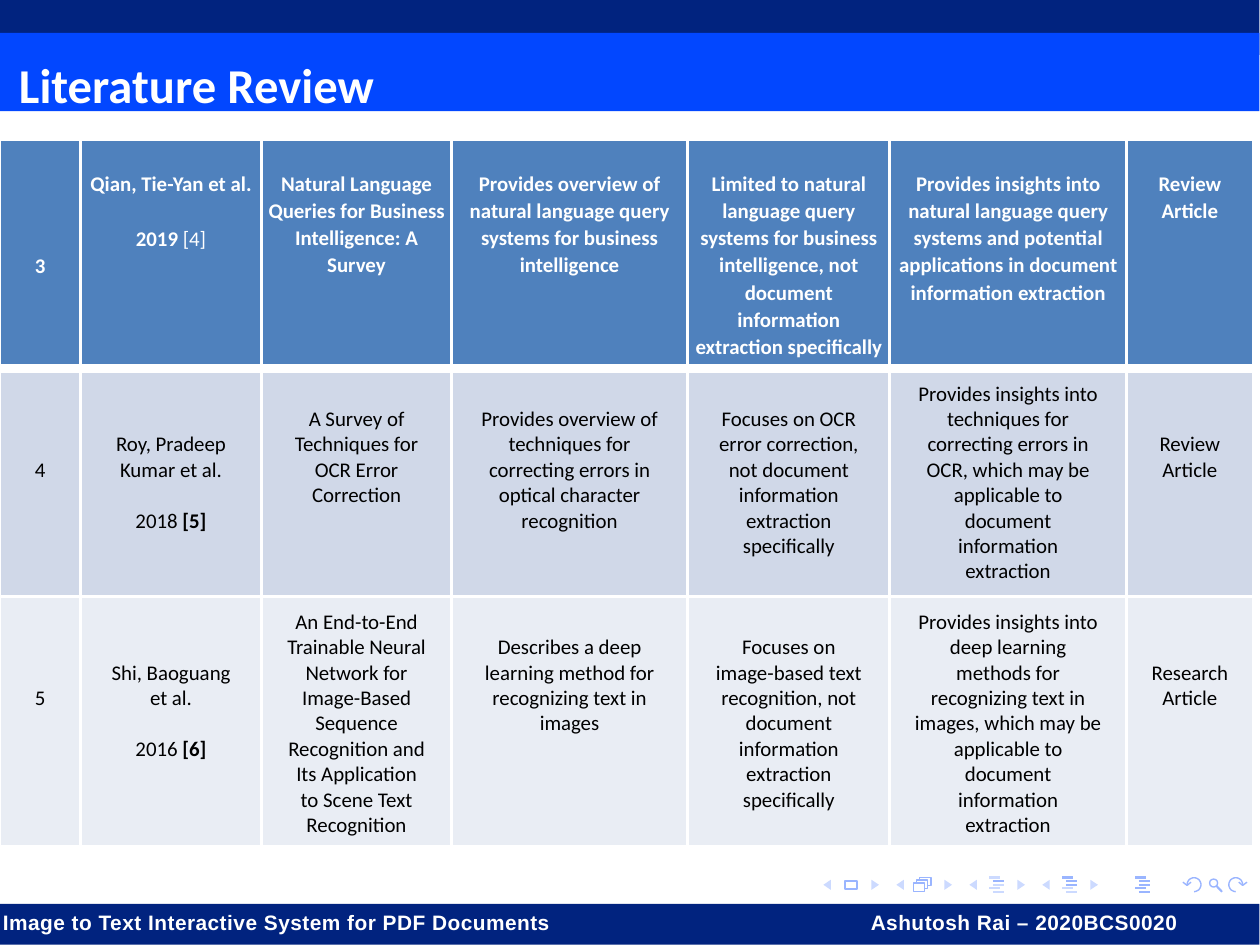
from dataclasses import dataclass
from itertools import product
from math import cos, radians, sin

from lxml.etree import SubElement
from pptx import Presentation
from pptx.dml.color import RGBColor
from pptx.enum.shapes import MSO_CONNECTOR as Connector, MSO_SHAPE as Preset
from pptx.enum.text import MSO_ANCHOR as Anchor, MSO_AUTO_SIZE as AutoSize, PP_ALIGN as Align
from pptx.oxml.ns import qn
from pptx.util import Emu, Pt

WHITE = RGBColor(0xFF, 0xFF, 0xFF)
BLACK = RGBColor(0x00, 0x00, 0x00)
NAVY = RGBColor(0x01, 0x23, 0x7F)
BLUE = RGBColor(0x02, 0x47, 0xFF)
ICON_DARK = RGBColor(0x9A, 0xB5, 0xFF)
ICON_PALE = RGBColor(0xCC, 0xDA, 0xFF)
HEADER_FILL = RGBColor(0x4F, 0x81, 0xBD)
ROW_FILLS = (HEADER_FILL, RGBColor(0xD0, 0xD8, 0xE8), RGBColor(0xE9, 0xED, 0xF4))

UNIT = 914.4
SLIDE_WIDTH, SLIDE_HEIGHT = Pt(363), Pt(272.5)
BAND_WIDTH = 5040
COLUMNS = (322, 725, 760, 945, 810, 945, 510)
ROWS = (915, 913, 1000)
ICON_STEP = 292
Points = list[tuple[float, float]]


@dataclass
class Band:
    top: int
    height: int
    color: RGBColor


@dataclass
class Entry:
    text: str
    lines_above: int = 1
    year: str = ""
    citation: str = ""


@dataclass
class ListIcon:
    left: int
    dark_lines: tuple[int, ...]


BANDS = (Band(0, 220, NAVY), Band(132, 313, BLUE), Band(3617, 163, NAVY))
LIST_ICONS = (ListIcon(3958, (1,)), ListIcon(4250, (0, 1, 2)), ListIcon(4542, (0, 1, 2, 3, 4)))
STUDIES = (
    (Entry("3", 4),
     Entry("Qian, Tie-Yan et al.", 1, "2019 ", "[4]"),
     Entry("Natural Language Queries for Business Intelligence: A Survey"),
     Entry("Provides overview of natural language query systems for business intelligence"),
     Entry("Limited to natural language query systems for business intelligence, "
           "not document information extraction specifically"),
     Entry("Provides insights into natural language query systems and potential "
           "applications in document information extraction"),
     Entry("Review Article")),
    (Entry("4", 3),
     Entry("Roy, Pradeep Kumar et al.", 2, "2018 ", "[5]"),
     Entry("A Survey of Techniques for OCR Error Correction"),
     Entry("Provides overview of techniques for correcting errors in optical character recognition"),
     Entry("Focuses on OCR error correction, not document information extraction specifically"),
     Entry("Provides insights into techniques for correcting errors in OCR, which may be "
           "applicable to document information extraction", 0),
     Entry("Review Article", 2)),
    (Entry("5", 3),
     Entry("Shi, Baoguang et al.", 2, "2016 ", "[6]"),
     Entry("An End-to-End Trainable Neural Network for Image-Based Sequence Recognition "
           "and Its Application to Scene Text Recognition", 0),
     Entry("Describes a deep learning method for recognizing text in images"),
     Entry("Focuses on image-based text recognition, not document information extraction specifically"),
     Entry("Provides insights into deep learning methods for recognizing text in images, "
           "which may be applicable to document information extraction", 0),
     Entry("Research Article", 2)),
)


def grid(units: float) -> Emu:
    """Turn thousandths of an inch into a length."""
    return Emu(round(units * UNIT))


def add_run(paragraph, text: str, size: float, color: RGBColor, bold: bool, font: str = "Calibri"):
    """Append one formatted run."""
    run = paragraph.add_run()
    run.text = text
    run.font.name, run.font.size, run.font.bold = font, Pt(size), bold
    run.font.color.rgb = color
    return run


def add_band(slide, band: Band) -> None:
    """Draw a full-width band."""
    shape = slide.shapes.add_shape(
        Preset.RECTANGLE, 0, grid(band.top), grid(BAND_WIDTH), grid(band.height))
    shape.shadow.inherit = False
    shape.fill.solid()
    shape.fill.fore_color.rgb = band.color
    shape.line.fill.background()


def style_outline(shape) -> None:
    """Give an icon a thin outline and no fill."""
    shape.shadow.inherit = False
    shape.fill.background()
    shape.line.color.rgb, shape.line.width = ICON_DARK, Pt(0.4)


def add_outline(slide, paths: list[Points], close: bool = False):
    """Draw one freeform from several paths."""
    builder = slide.shapes.build_freeform(*paths[0][0], scale=UNIT)
    for index, points in enumerate(paths):
        if index:
            builder.move_to(*points[0])
        builder.add_line_segments(points[1:], close=close)
    shape = builder.convert_to_shape()
    style_outline(shape)
    return shape


def add_line(slide, start: tuple[float, float], end: tuple[float, float], color: RGBColor) -> None:
    """Draw a straight icon stroke."""
    connector = slide.shapes.add_connector(
        Connector.STRAIGHT, *(grid(value) for value in start + end))
    connector.line.color.rgb, connector.line.width = color, Pt(0.6)
    SubElement(connector._element.spPr, qn("a:effectLst"))


def add_navigation(slide) -> None:
    """Draw the row of navigation icons."""
    for index in range(4):
        left = 3295 + ICON_STEP * index
        arrows = [[(base, 3520), (tip, 3540), (base, 3560)]
                  for base, tip in ((left + 30, left), (left + 193, left + 223))]
        shape = add_outline(slide, arrows, close=True)
        shape.fill.solid()
        shape.fill.fore_color.rgb = ICON_PALE
        shape.line.fill.background()
    add_outline(slide, [[(3382, 3524), (3430, 3524), (3430, 3556), (3382, 3556)]], close=True)
    add_outline(slide, [
        [(3655, 3566), (3700, 3566), (3700, 3534), (3655, 3534), (3655, 3566)],
        [(3667, 3534), (3667, 3522), (3712, 3522), (3712, 3555), (3700, 3555)],
        [(3680, 3522), (3680, 3510), (3725, 3510), (3725, 3543), (3712, 3543)]])
    for icon, row in product(LIST_ICONS, range(5)):
        left, top = icon.left + (15 if row in (1, 2, 4) else 0), 3511 + 14 * row
        color = ICON_DARK if row in icon.dark_lines else ICON_PALE
        add_line(slide, (left, top), (left + 43, top), color)
    lens = slide.shapes.add_shape(Preset.OVAL, grid(4840), grid(3517), grid(32), grid(32))
    style_outline(lens)
    add_line(slide, (4867, 3544), (4890, 3568), ICON_DARK)
    for center, side in ((4778, 1), (4945, -1)):
        arc = [(center + side * 28 * cos(radians(angle)), 3540 + 28 * sin(radians(angle)))
               for angle in range(90, -181, -15)]
        head = [(center - side * reach, top) for reach, top in ((12, 3530), (28, 3543), (45, 3530))]
        add_outline(slide, [arc, head])


def set_borders(cell, row: int) -> None:
    """Draw white cell borders, thick below the header."""
    for side in "LRTB":
        width = 3 if (row, side) in ((0, "B"), (1, "T")) else 1
        line = SubElement(cell._tc.get_or_add_tcPr(), qn(f"a:ln{side}"), w=str(Pt(width)))
        SubElement(SubElement(line, qn("a:solidFill")), qn("a:srgbClr"), val=str(WHITE))


def fill_cell(cell, entry: Entry, row: int) -> None:
    """Write and format one study cell."""
    header = row == 0
    color = WHITE if header else BLACK
    side, edge, line_height = (24, 10, 109) if header else (100, 50, 101.7)
    set_borders(cell, row)
    cell.fill.solid()
    cell.fill.fore_color.rgb = ROW_FILLS[row]
    cell.margin_left = cell.margin_right = grid(side)
    cell.margin_top = grid(edge + line_height * entry.lines_above)
    cell.margin_bottom = grid(10 if header else 35)
    paragraphs = [cell.text_frame.paragraphs[0]]
    add_run(paragraphs[0], entry.text, 6, color, header)
    if entry.year:
        paragraphs.append(cell.text_frame.add_paragraph())
        paragraphs[1].space_before = Pt(8 if header else 7.3)
        add_run(paragraphs[1], entry.year, 6, color, header)
        add_run(paragraphs[1], entry.citation, 6, color, not header)
    for paragraph in paragraphs:
        paragraph.alignment = Align.CENTER
        paragraph.line_spacing = 1.07 if header else 1.0


def add_studies(slide) -> None:
    """Build the table of reviewed studies."""
    table = slide.shapes.add_table(
        len(ROWS), len(COLUMNS), 0, grid(560), grid(sum(COLUMNS)), grid(sum(ROWS))).table
    table.first_row = table.horz_banding = False
    for column, width in zip(table.columns, COLUMNS):
        column.width = grid(width)
    for index, (row, height) in enumerate(zip(table.rows, ROWS)):
        row.height = grid(height)
        for cell, entry in zip(row.cells, STUDIES[index]):
            fill_cell(cell, entry, index)


def set_title(slide) -> None:
    """Place the title over the blue band."""
    title = slide.shapes.title
    title.left, title.top, title.width, title.height = map(grid, (-24, 168, 5020, 340))
    title.text_frame.auto_size = AutoSize.NONE
    title.text_frame.vertical_anchor = Anchor.TOP
    paragraph = title.text_frame.paragraphs[0]
    paragraph.alignment = Align.LEFT
    add_run(paragraph, "Literature Review", 14, WHITE, True)
    slide.shapes._spTree.append(title._element)


def add_footer(slide) -> None:
    """Write the project and author at a tab stop."""
    frame = slide.shapes.add_textbox(0, grid(3620), grid(4770), grid(160)).text_frame
    frame.word_wrap = True
    frame.margin_left, frame.margin_top = grid(12), grid(18)
    frame.margin_right = frame.margin_bottom = 0
    paragraph = frame.paragraphs[0]
    stops = SubElement(paragraph._p.get_or_add_pPr(), qn("a:tabLst"))
    SubElement(stops, qn("a:tab"), pos=str(grid(3473)), algn="l")
    for text in ("Image to Text Interactive System for PDF Documents\t", "Ashutosh Rai – 2020BCS0020"):
        run = add_run(paragraph, text, 6, WHITE, True, "Arial")
        run.font._element.set("spc", "13")


def main() -> None:
    """Build and save the slide."""
    presentation = Presentation()
    presentation.slide_width, presentation.slide_height = SLIDE_WIDTH, SLIDE_HEIGHT
    slide = presentation.slides.add_slide(presentation.slide_layouts[5])
    add_navigation(slide)
    for band in BANDS:
        add_band(slide, band)
    set_title(slide)
    add_studies(slide)
    add_footer(slide)
    presentation.save("out.pptx")


if __name__ == "__main__":
    main()
